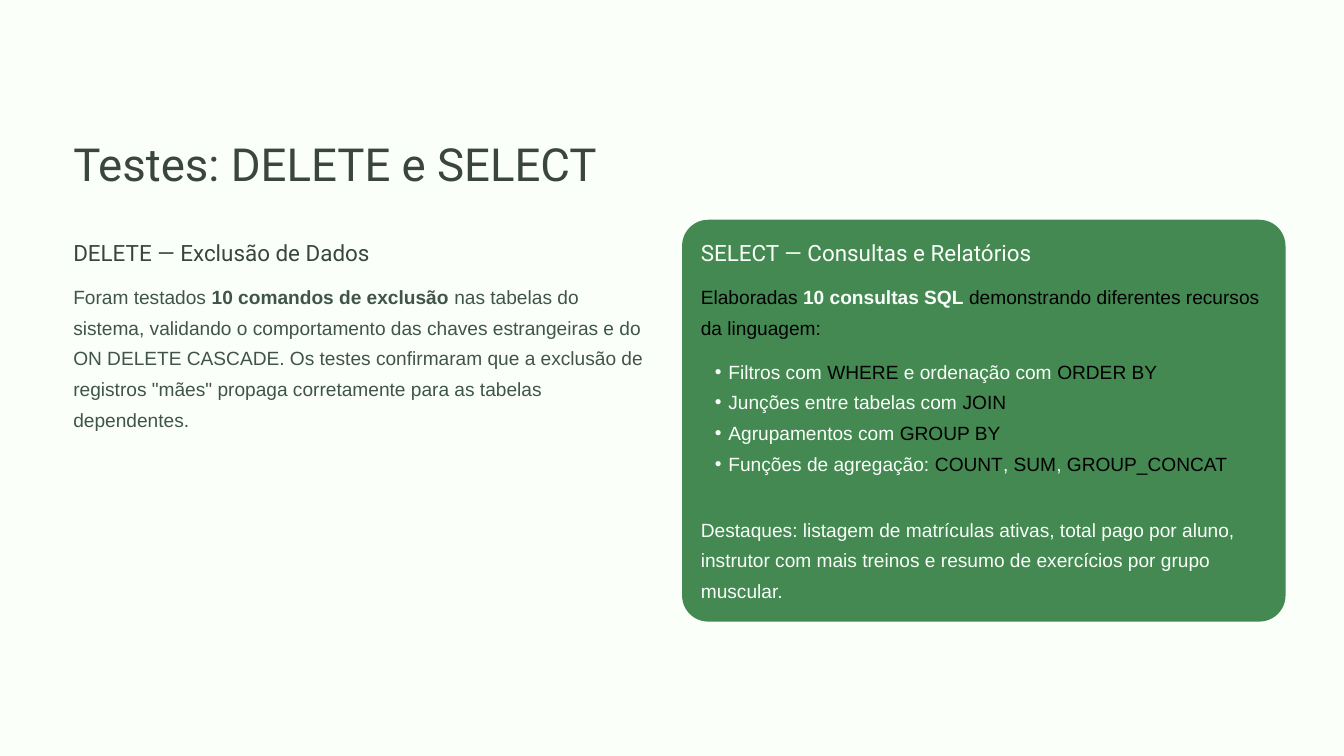
from dataclasses import dataclass

from lxml import etree
from pptx import Presentation
from pptx import util as u
from pptx.dml.color import RGBColor
from pptx.enum import shapes, text
from pptx.oxml import ns

PAPER = RGBColor(0xFA, 0xFF, 0xFA)
GREEN = RGBColor(0x43, 0x89, 0x51)
HEADING = RGBColor(0x3B, 0x45, 0x40)
BODY = RGBColor(0x40, 0x54, 0x49)
BLACK = RGBColor(0, 0, 0)

# The grid has 20 columns and 11.25 rows of one inch each.
CELL = u.Inches(1)
COLUMNS, ROWS = 20, 11.25
INSET_X, INSET_Y = 0.28, 0.27


@dataclass
class Box:
    """An area in grid columns and rows."""
    left: float
    top: float
    width: float
    height: float

    def inner(self, left, top, width, height):
        return Box(self.left + left, self.top + top, width, height)

    def lengths(self):
        return [round(n * CELL) for n in (self.left, self.top, self.width, self.height)]


@dataclass
class Style:
    font: str
    size: float
    leading: float


TITLE = Style("Roboto", 48.8, 60.9)
SUBTITLE = Style("Roboto", 24, 30)
TEXT = Style("Arial", 20.5, 32.7)


def add_bullet(para, font):
    para.level = 1
    properties = para._p.get_or_add_pPr()
    properties.set("marL", str(u.Inches(0.41)))
    properties.set("indent", str(u.Inches(-0.2)))
    etree.SubElement(properties, ns.qn("a:buFont")).set("typeface", font)
    etree.SubElement(properties, ns.qn("a:buChar")).set("char", "•")


def fill_text(shape, paragraphs, style, bullets=False):
    """Write paragraphs, each a list of (words, colour, bold) spans."""
    frame = shape.text_frame
    frame.word_wrap = True
    frame.auto_size = text.MSO_AUTO_SIZE.NONE
    frame.vertical_anchor = text.MSO_ANCHOR.TOP
    frame.margin_left = frame.margin_right = frame.margin_top = frame.margin_bottom = 0
    for index, spans in enumerate(paragraphs):
        para = frame.add_paragraph() if index else frame.paragraphs[0]
        para.alignment = text.PP_ALIGN.LEFT
        para.line_spacing = u.Pt(style.leading)
        para.space_before = u.Pt(0)
        if bullets:
            add_bullet(para, style.font)
        for words, colour, bold in spans:
            span = para.add_run()
            span.text = words
            span.font.name = style.font
            span.font.size = u.Pt(style.size)
            span.font.bold = bold
            span.font.color.rgb = colour


def add_text(page, box, paragraphs, style=TEXT, bullets=False):
    fill_text(page.shapes.add_textbox(*box.lengths()), paragraphs, style, bullets)


def add_block(page, kind, box, colour):
    block = page.shapes.add_shape(kind, *box.lengths())
    block.shadow.inherit = False
    block.fill.solid()
    block.fill.fore_color.rgb = colour
    block.line.fill.background()
    return block


def add_backdrop(page, box):
    """Cover the page with its paper colour, behind the title."""
    backdrop = add_block(page, shapes.MSO_SHAPE.RECTANGLE, box, PAPER)
    page.shapes.title._element.addprevious(backdrop._element)


def place_title(page, box):
    title = page.shapes.title
    title.left, title.top, title.width, title.height = box.lengths()
    fill_text(title, [[("Testes: DELETE e SELECT", HEADING, False)]], TITLE)


def add_heading(page, panel, words, colour):
    box = panel.inner(INSET_X, INSET_Y, panel.width - 2 * INSET_X, 0.42)
    add_text(page, box, [[(words, colour, False)]], SUBTITLE)


def add_delete_panel(page, panel):
    add_heading(page, panel, "DELETE — Exclusão de Dados", HEADING)
    add_text(page, panel.inner(INSET_X, 0.87, 8.59, 2.22), [[
        ("Foram testados ", BODY, False),
        ("10 comandos de exclusão", BODY, True),
        (" nas tabelas do sistema, validando o comportamento das chaves estrangeiras "
         "e do ON DELETE CASCADE. Os testes confirmaram que a exclusão de registros "
         '"mães" propaga corretamente para as tabelas dependentes.', BODY, False),
    ]])


def add_select_panel(page, panel):
    card = add_block(page, shapes.MSO_SHAPE.ROUNDED_RECTANGLE, panel, GREEN)
    card.adjustments[0] = 0.065

    add_heading(page, panel, "SELECT — Consultas e Relatórios", PAPER)
    width = 8.44
    add_text(page, panel.inner(INSET_X, 0.87, width, 0.88), [[
        ("Elaboradas ", BLACK, False),
        ("10 consultas SQL", PAPER, True),
        (" demonstrando diferentes recursos da linguagem:", BLACK, False),
    ]])

    # Plain words and SQL keywords alternate in each item.
    items = [
        ["Filtros com ", "WHERE", " e ordenação com ", "ORDER BY"],
        ["Junções entre tabelas com ", "JOIN"],
        ["Agrupamentos com ", "GROUP BY"],
        ["Funções de agregação: ", "COUNT", ", ", "SUM", ", ", "GROUP_CONCAT"],
    ]
    paragraphs = [[(words, BLACK if n % 2 else PAPER, False) for n, words in enumerate(item)]
                  for item in items]
    add_text(page, panel.inner(INSET_X, 1.98, width, 1.77), paragraphs, bullets=True)

    add_text(page, panel.inner(INSET_X, 4.33, width, 1.32), [[
        ("Destaques: listagem de matrículas ativas, total pago por aluno, instrutor com "
         "mais treinos e resumo de exercícios por grupo muscular.", PAPER, False),
    ]])


def main():
    deck = Presentation()
    deck.slide_width, deck.slide_height = round(COLUMNS * CELL), round(ROWS * CELL)
    page = deck.slides.add_slide(deck.slide_layouts.get_by_name("Title Only"))
    add_backdrop(page, Box(0, 0, COLUMNS, ROWS))
    place_title(page, Box(1.09, 1.99, 9.9, 0.87))
    add_delete_panel(page, Box(0.81, 3.27, 8.98, 5.98))
    add_select_panel(page, Box(10.15, 3.27, 8.98, 5.98))
    deck.save("out.pptx")


if __name__ == "__main__":
    main()
